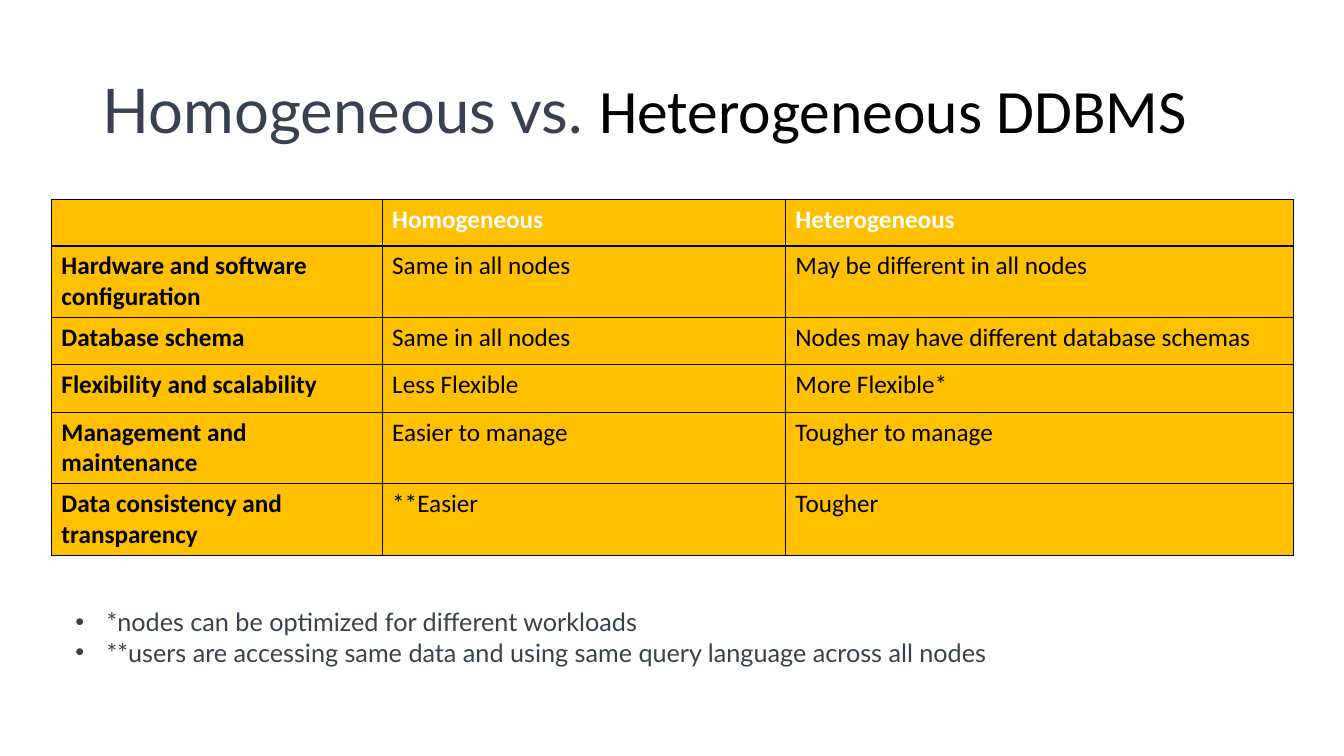
import dataclasses

import pptx
import pptx.dml.color
import pptx.enum.text
import pptx.oxml
import pptx.oxml.ns
import pptx.util

Inches = pptx.util.Inches
Pt = pptx.util.Pt


@dataclasses.dataclass(frozen=True)
class Theme:
    slate: str = "374151"
    black: str = "000000"
    white: str = "FFFFFF"
    gold: str = "FFC000"
    lato: str = "Lato"
    plain: str = "Calibri"
    title: int = 44
    body: int = 18
    rule: int = 1


THEME = Theme()

COLS = [3.28, 4, 5.04]
ROWS = [0.46, 0.71, 0.47, 0.47, 0.71, 0.71]
CELLS = [
    ["", "Homogeneous", "Heterogeneous"],
    ["Hardware and software configuration", "Same in all nodes",
     "May be different in all nodes"],
    ["Database schema", "Same in all nodes",
     "Nodes may have different database schemas"],
    ["Flexibility and scalability", "Less Flexible", "More Flexible*"],
    ["Management and maintenance", "Easier to manage", "Tougher to manage"],
    ["Data consistency and transparency", "**Easier", "Tougher"],
]
NOTES = [
    "*nodes can be optimized for different workloads",
    "**users are accessing same data and using same query language "
    "across all nodes",
]


def rgb(code):
    return pptx.dml.color.RGBColor.from_string(code)


def style(run, size, face, color, bold=False):
    font = run.font
    font.size = Pt(size)
    font.name = face
    font.color.rgb = rgb(color)
    font.bold = bold


def add_box(slide, left, top, width, height):
    box = slide.shapes.add_textbox(
        Inches(left), Inches(top), Inches(width), Inches(height))
    box.text_frame.word_wrap = True
    return box.text_frame


def add_title(slide):
    frame = add_box(slide, 0.92, 0.4, 11.5, 1.45)
    frame.vertical_anchor = pptx.enum.text.MSO_ANCHOR.MIDDLE
    para = frame.paragraphs[0]
    para.line_spacing = 0.9
    for text, face, color in [
        ("Homogeneous vs. ", THEME.lato, THEME.slate),
        ("Heterogeneous DDBMS", THEME.plain, THEME.black),
    ]:
        run = para.add_run()
        run.text = text
        style(run, THEME.title, face, color)


def add_edges(cell):
    """Rule all four sides; the lines must come before the cell's fill."""
    props = cell._tc.get_or_add_tcPr()
    for place, side in enumerate(["lnL", "lnR", "lnT", "lnB"]):
        line = pptx.oxml.parse_xml(
            f'<a:{side} {pptx.oxml.ns.nsdecls("a")} w="{Pt(THEME.rule)}">'
            f'<a:solidFill><a:srgbClr val="{THEME.black}"/></a:solidFill>'
            f'</a:{side}>')
        props.insert(place, line)


def add_grid(slide):
    table = slide.shapes.add_table(
        len(ROWS), len(COLS), Inches(0.51), Inches(1.98),
        Inches(sum(COLS)), Inches(sum(ROWS))).table
    for col, width in zip(table.columns, COLS):
        col.width = Inches(width)
    for row, height in zip(table.rows, ROWS):
        row.height = Inches(height)
    for i, texts in enumerate(CELLS):
        for j, text in enumerate(texts):
            cell = table.cell(i, j)
            cell.fill.solid()
            cell.fill.fore_color.rgb = rgb(THEME.gold)
            add_edges(cell)
            cell.text_frame.text = text
            color = THEME.white if i == 0 else THEME.black
            for run in cell.text_frame.paragraphs[0].runs:
                style(run, THEME.body, THEME.plain, color, i == 0 or j == 0)


def add_bullet(para):
    props = para._p.get_or_add_pPr()
    props.set("marL", str(Inches(0.31)))
    props.set("indent", str(Inches(-0.31)))
    for xml in ['buFont {} typeface="Arial"', 'buChar {} char="•"']:
        props.append(pptx.oxml.parse_xml(
            f'<a:{xml.format(pptx.oxml.ns.nsdecls("a"))}/>'))


def add_notes(slide):
    frame = add_box(slide, 0.65, 5.97, 11.77, 1.01)
    frame.text = "\n".join(NOTES)
    for para in frame.paragraphs:
        add_bullet(para)
        style(para.runs[0], THEME.body, THEME.lato, THEME.slate)


def main():
    deck = pptx.Presentation()
    deck.slide_width = Inches(13.33)
    deck.slide_height = Inches(7.5)
    slide = deck.slides.add_slide(deck.slide_layouts[6])
    add_title(slide)
    add_grid(slide)
    add_notes(slide)
    deck.save("out.pptx")


if __name__ == "__main__":
    main()
